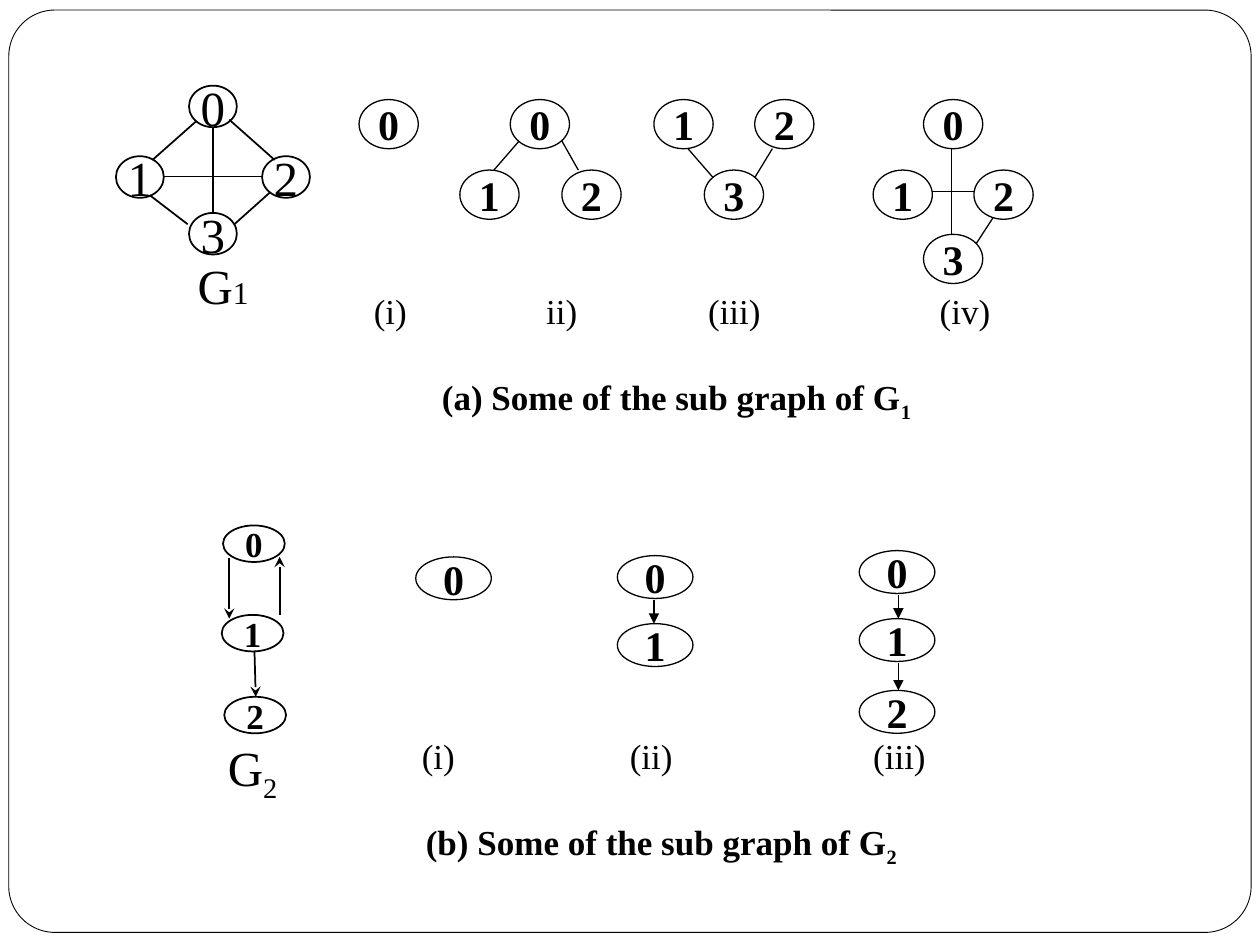
from typing import NamedTuple
from lxml.etree import SubElement
from pptx import Presentation
from pptx.dml.color import RGBColor
from pptx.enum.shapes import MSO_CONNECTOR, MSO_SHAPE
from pptx.enum.text import MSO_ANCHOR, PP_ALIGN
from pptx.oxml.ns import qn
from pptx.util import Inches, Pt

COLS, ROWS = 100, 75
FONT, INK, PAPER = "Times New Roman", "000000", "FFFFFF"


class Look(NamedTuple):
    """Size in grid units, type and line of one family of nodes."""
    wide: float
    high: float
    size: int
    bold: bool
    line: float
    fill: str = ""


class Graph(NamedTuple):
    """Nodes as (name, left, top) and edges as (x1, y1, x2, y2)."""
    look: Look
    nodes: list
    edges: list
    head: str = ""


class Legend(NamedTuple):
    """Row labels and a caption, each with the centre column it sits on."""
    left: float
    top: float
    wide: float
    labels: list
    title: str
    sub: str
    mid: float


FULL = Look(3.8, 3.3, 28, False, 1, PAPER)
PART = Look(4.7, 3.9, 24, True, 0.75)
FLOW = Look(4.9, 2.9, 20, True, 1, PAPER)
STEP = Look(6, 3.4, 24, True, 0.75)

GRAPHS = [
    Graph(PART, [("0", 28.5, 7.9)], []),
    Graph(PART, [("0", 40.5, 7.9), ("1", 36.5, 13.5), ("2", 44.6, 13.5)],
          [(41.2, 11.2, 39.2, 13.5), (44.6, 11.2, 45.9, 13.5)]),
    Graph(PART, [("1", 51.9, 7.9), ("2", 59.9, 7.9), ("3", 55.9, 13.5)],
          [(56.6, 14.1, 54.6, 11.8), (59.9, 14.1, 61.3, 11.8)]),
    Graph(PART, [("0", 73.3, 7.9), ("1", 69.3, 13.5), ("2", 77.3, 13.5), ("3", 73.3, 18.6)],
          [(74, 15.2, 77.3, 15.2), (75.5, 11.8, 75.5, 18.6), (78.8, 17.3, 77.5, 19.3)]),
    Graph(FULL, [("0", 15, 6.8), ("1", 9.2, 12.4), ("2", 20.8, 12.4), ("3", 15, 16.9)],
          [(16.9, 10.1, 16.9, 16.8), (13, 14, 20.8, 14), (15.6, 9.6, 12.1, 12.7),
           (18.2, 9.5, 21.8, 12.7), (11.9, 15.5, 14.9, 17.8), (21.4, 15.3, 18.6, 17.8)]),
    Graph(STEP, [("0", 33, 44.2)], []),
    Graph(STEP, [("0", 49, 44.1), ("1", 49, 49.5)], [(51.9, 47.6, 51.9, 49.5)], "triangle"),
    Graph(STEP, [("0", 68.2, 43.7), ("1", 68.2, 49.1), ("2", 68.2, 54.8)],
          [(71.3, 47.2, 71.3, 49.1), (71.3, 52.6, 71.3, 54.8)], "triangle"),
    Graph(FLOW, [("0", 17.7, 41.7), ("1", 17.6, 48.8), ("2", 17.8, 55.3)],
          [(20.2, 51.7, 20.3, 55.3), (22.2, 48.8, 22.2, 44.2), (18.2, 44.3, 18.2, 49.1)],
          "stealth"),
]

LEGENDS = [
    Legend(27.9, 22.5, 51.7, [("(i)", 31), ("ii)", 44.6), ("(iii)", 58.3), ("(iv)", 76.6)],
           "(a) Some of the sub graph of G", "1", 53.7),
    Legend(23, 57.8, 61.2, [("(i)", 34.8), ("(ii)", 51.7), ("(iii)", 71.4)],
           "(b) Some of the sub graph of G", "2", 52.5),
]

deck = Presentation()
deck.slide_width, deck.slide_height = Inches(10), Inches(7.5)
page = deck.slides.add_slide(deck.slide_layouts[6])


def across(cols: float) -> int:
    """Turn columns into a length."""
    return round(deck.slide_width * cols / COLS)


def down(rows: float) -> int:
    """Turn rows into a length."""
    return round(deck.slide_height * rows / ROWS)


def tint(code: str) -> RGBColor:
    """Turn a hex string into a colour."""
    return RGBColor.from_string(code)


def write(para, text: str, size: float, bold: bool = False, sub: bool = False) -> None:
    """Add one formatted run to a paragraph."""
    run = para.add_run()
    run.text = text
    font = run.font
    font.name, font.size, font.bold = FONT, Pt(size), bold
    font.color.rgb = tint(INK)
    if sub:
        run._r.get_or_add_rPr().set("baseline", "-25000")


def stops(para, spots: list) -> None:
    """Give a paragraph centred tab stops."""
    tabs = SubElement(para._p.get_or_add_pPr(), qn("a:tabLst"))
    for spot in spots:
        SubElement(tabs, qn("a:tab"), pos=str(across(spot)), algn="ctr")


def shape(kind, left: float, top: float, wide: float, high: float, line: float, fill: str = ""):
    """Draw an outlined preset shape."""
    item = page.shapes.add_shape(kind, across(left), down(top), across(wide), down(high))
    item.shadow.inherit = False
    item.line.color.rgb, item.line.width = tint(INK), Pt(line)
    if fill:
        item.fill.solid()
        item.fill.fore_color.rgb = tint(fill)
    else:
        item.fill.background()
    return item


def node(look: Look, name: str, left: float, top: float) -> None:
    """Draw one named node."""
    item = shape(MSO_SHAPE.OVAL, left, top, look.wide, look.high, look.line, look.fill)
    frame = item.text_frame
    frame.word_wrap, frame.vertical_anchor = False, MSO_ANCHOR.MIDDLE
    frame.paragraphs[0].alignment = PP_ALIGN.CENTER
    write(frame.paragraphs[0], name, look.size, look.bold)


def edge(ends: tuple, line: float, head: str) -> None:
    """Draw one edge, with an arrowhead if named."""
    x1, y1, x2, y2 = ends
    item = page.shapes.add_connector(
        MSO_CONNECTOR.STRAIGHT, across(x1), down(y1), across(x2), down(y2))
    item.line.color.rgb, item.line.width = tint(INK), Pt(line)
    if head:
        SubElement(item.line._get_or_add_ln(), qn("a:tailEnd"), type=head)
    SubElement(item._element.spPr, qn("a:effectLst"))


def box(left: float, top: float, wide: float, high: float):
    """Add a text box and return its frame."""
    frame = page.shapes.add_textbox(
        across(left), down(top), across(wide), down(high)).text_frame
    frame.word_wrap = True
    return frame


def legend(item: Legend) -> None:
    """Write a row of labels and the caption below it."""
    frame = box(item.left, item.top, item.wide, 11.5)
    edge_x = item.left + 1
    row, note = frame.paragraphs[0], frame.add_paragraph()
    stops(row, [mid - edge_x for _, mid in item.labels])
    write(row, "".join("\t" + text for text, _ in item.labels), 20)
    note.space_before = Pt(25)
    stops(note, [item.mid - edge_x])
    write(note, "\t" + item.title, 20, bold=True)
    write(note, item.sub, 20, bold=True, sub=True)


def main() -> None:
    """Build the slide and save it."""
    frame = shape(MSO_SHAPE.ROUNDED_RECTANGLE, 0.7, 0.8, 98.6, 73.2, 0.5)
    frame.adjustments[0] = 0.05
    for graph in GRAPHS:
        for spot in graph.nodes:
            node(graph.look, *spot)
        for ends in graph.edges:
            edge(ends, graph.look.line, graph.head)
    for item in LEGENDS:
        legend(item)
    first = box(14.7, 19.8, 6.1, 5.7).paragraphs[0]
    write(first, "G", 28)
    write(first, "1", 18)
    second = box(17.1, 58, 8.3, 6.3).paragraphs[0]
    write(second, "G", 28)
    write(second, "2", 28, sub=True)
    deck.save("out.pptx")


if __name__ == "__main__":
    main()
